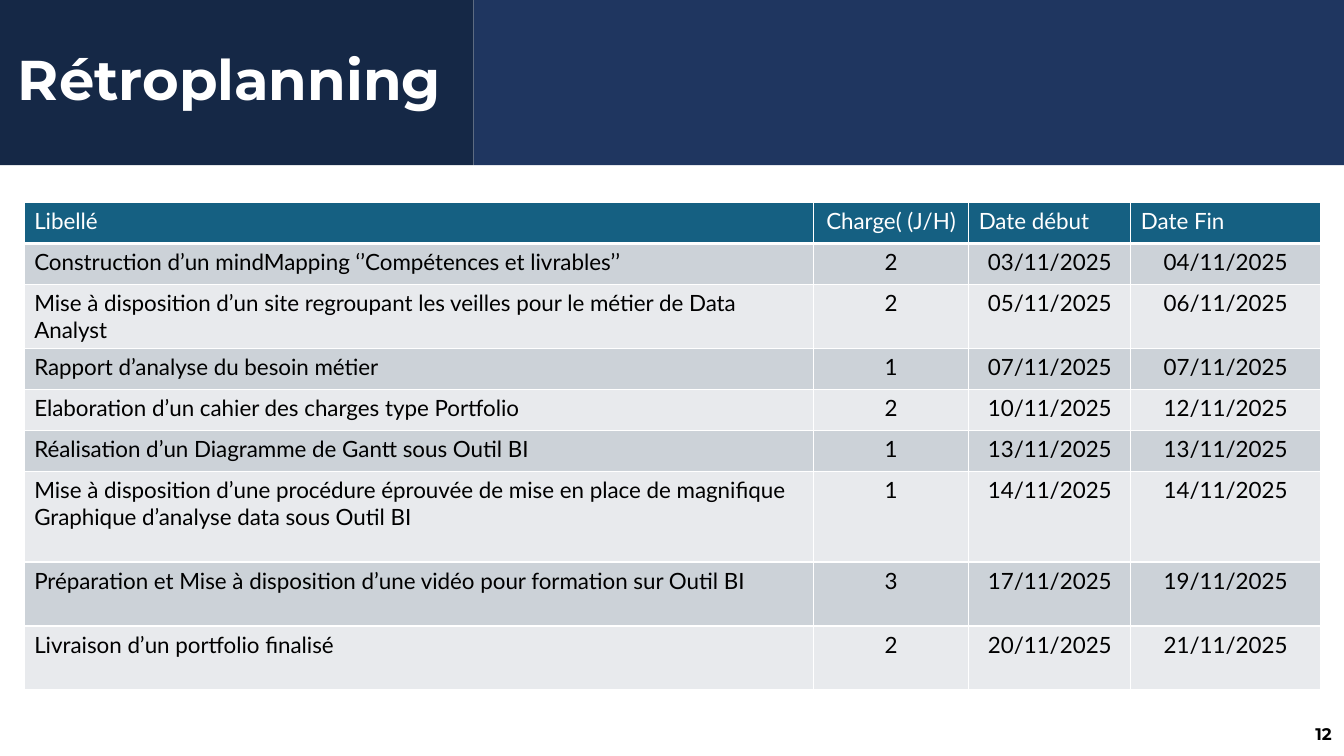
"""Build the retro-planning slide: a title banner above the task schedule."""
from lxml import etree
from pptx import Presentation, util as u
from pptx.dml.color import RGBColor
from pptx.enum import shapes, text
from pptx.oxml import ns

WIDTH, HEIGHT = u.Inches(13.33), u.Inches(7.5)
NAVY = RGBColor(0x15, 0x28, 0x46)
BLUE = RGBColor(0x1F, 0x36, 0x60)
TEAL = RGBColor(0x15, 0x60, 0x82)
GREY = RGBColor(0xCC, 0xD2, 0xD8)
PALE = RGBColor(0xE8, 0xEA, 0xED)
WHITE = RGBColor(0xFF, 0xFF, 0xFF)
BLACK = RGBColor(0, 0, 0)

BANNER_SPLIT, BANNER_HEIGHT = 35.25, 21.87
COLUMN_SHARES = (58.73, 11.55, 12.07, 14.1)
ONE_LINE, TWO_LINES, THREE_LINES = 5.43, 8.46, 11.95
HEADINGS = ("Libellé", "Charge( (J/H)", "Date début", "Date Fin")
TASKS = (
    ("Construction d’un mindMapping ‘’Compétences et livrables’’",
     "2", "03/11/2025", "04/11/2025", ONE_LINE),
    ("Mise à disposition d’un site regroupant les veilles pour le métier de Data Analyst",
     "2", "05/11/2025", "06/11/2025", TWO_LINES),
    ("Rapport d’analyse du besoin métier",
     "1", "07/11/2025", "07/11/2025", ONE_LINE),
    ("Elaboration d’un cahier des charges type Portfolio",
     "2", "10/11/2025", "12/11/2025", ONE_LINE),
    ("Réalisation d’un Diagramme de Gantt sous Outil BI",
     "1", "13/11/2025", "13/11/2025", ONE_LINE),
    ("Mise à disposition d’une procédure éprouvée de mise en place de magnifique "
     "Graphique d’analyse data sous Outil BI",
     "1", "14/11/2025", "14/11/2025", THREE_LINES),
    ("Préparation et Mise à disposition d’une vidéo pour formation sur Outil BI",
     "3", "17/11/2025", "19/11/2025", TWO_LINES),
    ("Livraison d’un portfolio finalisé",
     "2", "20/11/2025", "21/11/2025", TWO_LINES),
)


def across(percent):
    """Return a percentage of the slide width."""
    return round(WIDTH * percent / 100)


def down(percent):
    """Return a percentage of the slide height."""
    return round(HEIGHT * percent / 100)


def place(left, top, width, height):
    """Turn percentages of the slide into a position and a size."""
    return across(left), down(top), across(width), down(height)


def write(frame, wording, font, size, color, align, bold=False):
    """Set one paragraph of text and format it."""
    frame.text = wording
    paragraph = frame.paragraphs[0]
    paragraph.alignment = align
    style = paragraph.runs[0].font
    style.name, style.size, style.bold = font, u.Pt(size), bold
    style.color.rgb = color
    return paragraph


def add_panel(slide, left, width, color):
    """Add one flat panel of the banner."""
    panel = slide.shapes.add_shape(
        shapes.MSO_SHAPE.RECTANGLE, *place(left, 0, width, BANNER_HEIGHT))
    panel.shadow.inherit = False
    panel.fill.solid()
    panel.fill.fore_color.rgb = color
    panel.line.fill.background()


def add_label(slide, box, wording, size, color, align, anchor):
    """Add a bold heading-font text box."""
    frame = slide.shapes.add_textbox(*place(*box)).text_frame
    frame.word_wrap = True
    frame.vertical_anchor = anchor
    return write(frame, wording, "Montserrat", size, color, align, bold=True)


def set_borders(cell, bottom_width):
    """Draw white borders around a table cell."""
    properties = cell._tc.get_or_add_tcPr()
    for side, width in (("L", 1), ("R", 1), ("T", 1), ("B", bottom_width)):
        border = etree.SubElement(properties, ns.qn(f"a:ln{side}"), w=str(u.Pt(width)))
        fill = etree.SubElement(border, ns.qn("a:solidFill"))
        etree.SubElement(fill, ns.qn("a:srgbClr"), val=str(WHITE))


def fill_row(row, values, fill, color, centred, bottom_width=1):
    """Write and colour the cells of one table row."""
    for column, (cell, value) in enumerate(zip(row.cells, values)):
        align = text.PP_ALIGN.CENTER if column in centred else text.PP_ALIGN.LEFT
        write(cell.text_frame, value, "Lato", 16, color, align)
        set_borders(cell, bottom_width)
        cell.fill.solid()
        cell.fill.fore_color.rgb = fill


def add_schedule(slide):
    """Add the table of tasks, workloads and dates."""
    heights = [ONE_LINE] + [task[-1] for task in TASKS]
    box = place(1.8, 26.8, sum(COLUMN_SHARES), sum(heights))
    schedule = slide.shapes.add_table(len(heights), len(HEADINGS), *box).table
    for column, share in zip(schedule.columns, COLUMN_SHARES):
        column.width = across(share)
    for row, share in zip(schedule.rows, heights):
        row.height = down(share)
    fill_row(schedule.rows[0], HEADINGS, TEAL, WHITE, (1,), bottom_width=3)
    for index, task in enumerate(TASKS):
        fill = PALE if index % 2 else GREY
        fill_row(schedule.rows[index + 1], task[:-1], fill, BLACK, (1, 2, 3))


def main():
    """Build the slide and save it."""
    deck = Presentation()
    deck.slide_width, deck.slide_height = WIDTH, HEIGHT
    slide = deck.slides.add_slide(deck.slide_layouts[6])
    add_panel(slide, 0, BANNER_SPLIT, NAVY)
    add_panel(slide, BANNER_SPLIT, 100 - BANNER_SPLIT, BLUE)
    title = add_label(slide, (0.6, 0, 86.25, 15.6), "Rétroplanning", 40, WHITE,
                      text.PP_ALIGN.LEFT, text.MSO_ANCHOR.BOTTOM)
    title.line_spacing = 0.9
    add_schedule(slide)
    add_label(slide, (77.33, 94.4, 22.5, 5.33), "12", 12, BLACK,
              text.PP_ALIGN.RIGHT, text.MSO_ANCHOR.MIDDLE)
    deck.save("out.pptx")


if __name__ == "__main__":
    main()
